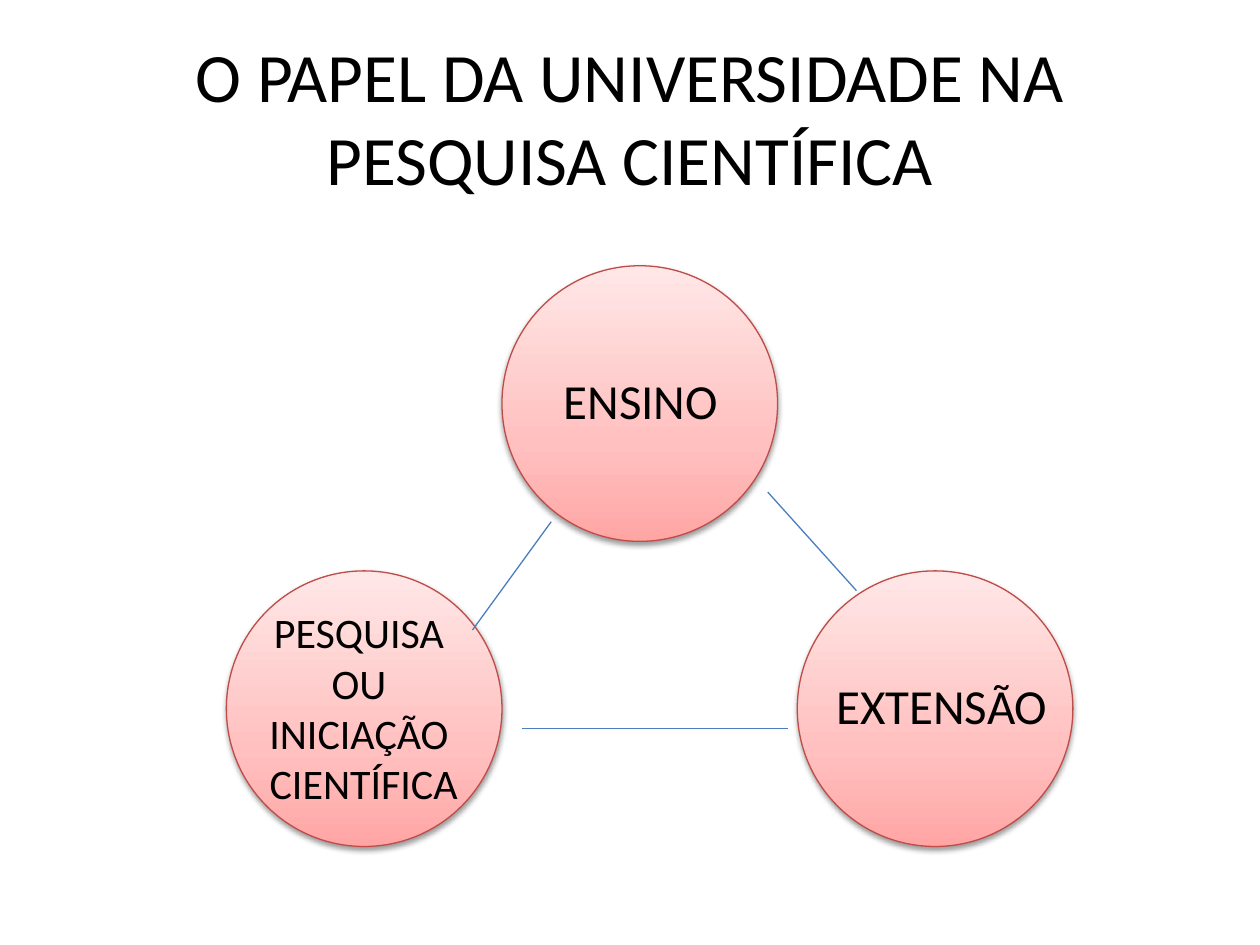
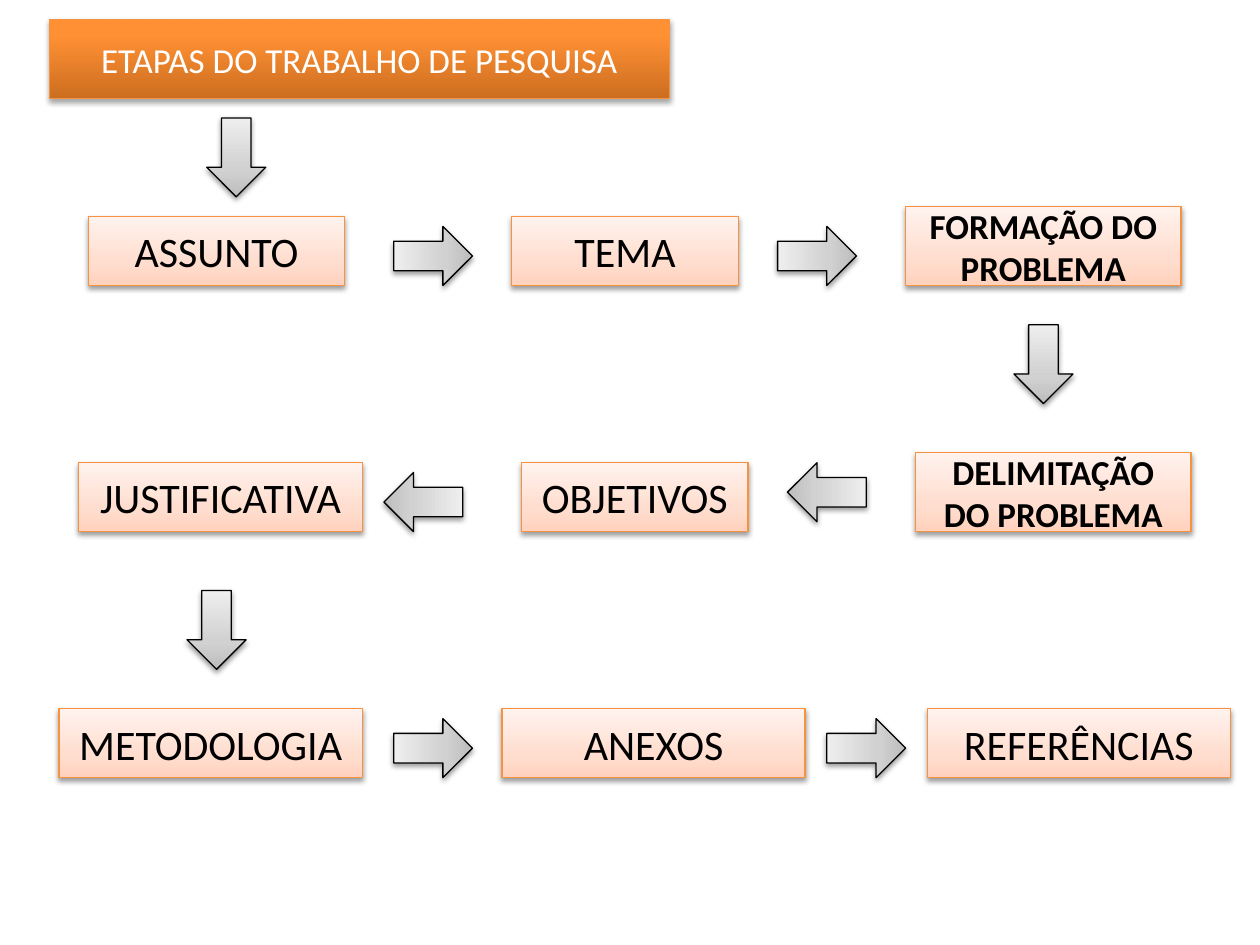
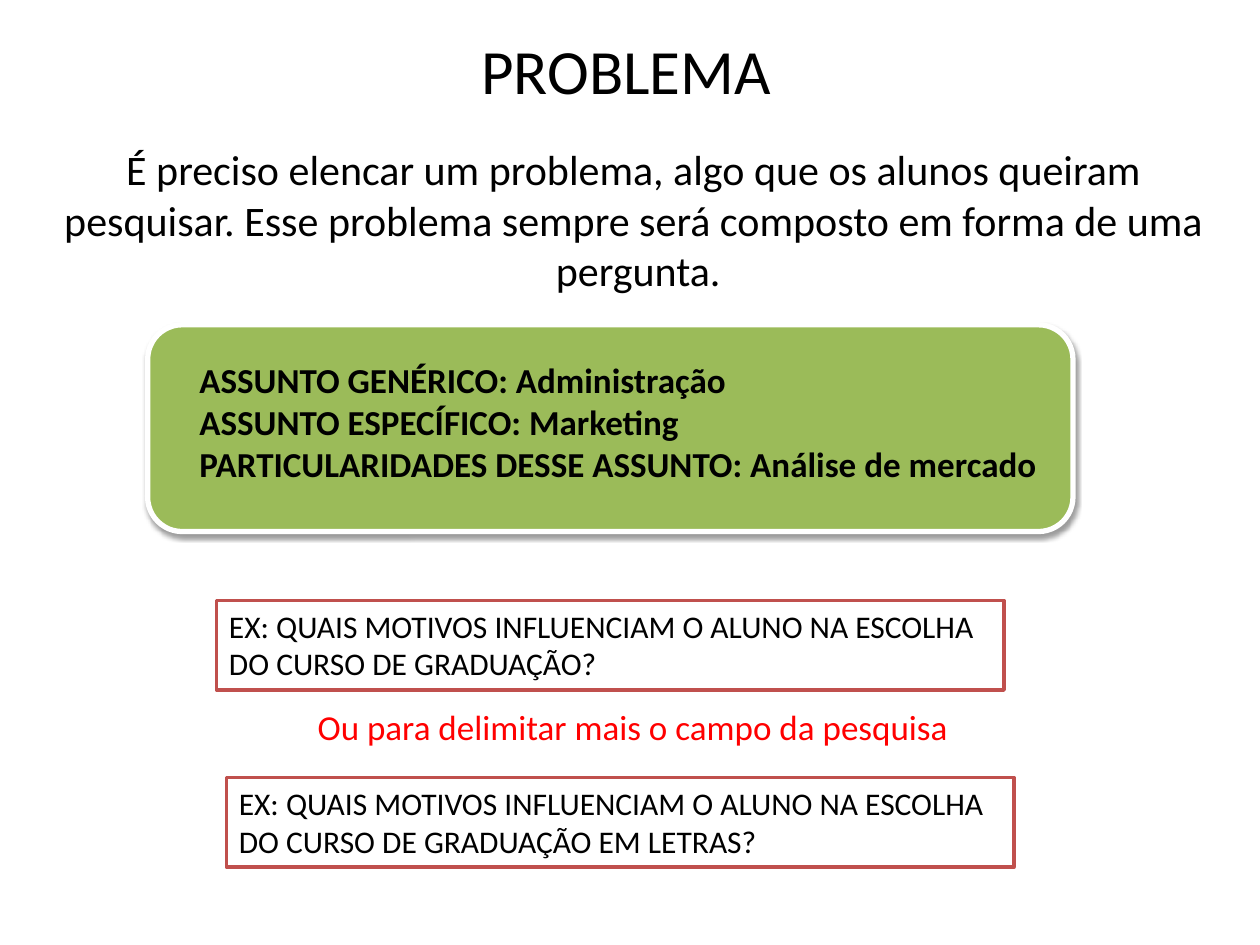
from dataclasses import dataclass

from lxml import etree
from pptx import Presentation
from pptx.dml.color import RGBColor
from pptx.enum.shapes import MSO_CONNECTOR, MSO_SHAPE
from pptx.enum.text import MSO_ANCHOR, MSO_AUTO_SIZE, PP_ALIGN
from pptx.oxml.ns import qn
from pptx.util import Inches, Pt

OVAL, RECTANGLE = MSO_SHAPE.OVAL, MSO_SHAPE.RECTANGLE
ROUNDED, DOWN_ARROW = MSO_SHAPE.ROUNDED_RECTANGLE, MSO_SHAPE.DOWN_ARROW
STRAIGHT = MSO_CONNECTOR.STRAIGHT
LEFT, CENTER = PP_ALIGN.LEFT, PP_ALIGN.CENTER
TOP, MIDDLE = MSO_ANCHOR.TOP, MSO_ANCHOR.MIDDLE
FIXED, GROW = MSO_AUTO_SIZE.NONE, MSO_AUTO_SIZE.SHAPE_TO_FIT_TEXT

WIDTH, HEIGHT, COLUMNS, ROWS = 10, 7.5, 128, 96


@dataclass(frozen=True)
class Theme:
    font: str = "Calibri"
    black: str = "000000"
    white: str = "FFFFFF"
    red: str = "FF0000"
    frame: str = "C0504D"
    green: str = "9BBB59"
    link: str = "4B7EBC"
    rose_line: str = "BF4C48"
    orange_line: str = "F69240"
    rose: tuple = ((0, "FFA6A5"), (35, "FFC0BF"), (100, "FFE7E7"))
    orange: tuple = ((0, "CC6E20"), (80, "FF9034"), (100, "FF9136"))
    peach: tuple = ((0, "FFD2BD"), (35, "FFDED0"), (100, "FFF2ED"))
    gray: tuple = ((0, "BDBDBD"), (35, "D1D1D1"), (100, "EEEEEE"))
    soft_shadow: tuple = (38, 1.6)
    title_shadow: tuple = (35, 1.8)
    thin: float = 0.75
    framed: float = 2
    thick: float = 3
    headline: float = 39.6
    title: float = 36
    large: float = 28
    body: float = 24
    label: float = 20
    example: float = 18


THEME = Theme()


@dataclass(frozen=True)
class Box:
    column: float
    row: float
    columns: float
    rows: float

    def inner(self, column, row, columns, rows):
        return Box(self.column + column, self.row + row, columns, rows)

    def point(self, column, row):
        return (Inches((self.column + column) * WIDTH / COLUMNS),
                Inches((self.row + row) * HEIGHT / ROWS))

    def frame(self):
        return (*self.point(0, 0), Inches(self.columns * WIDTH / COLUMNS),
                Inches(self.rows * HEIGHT / ROWS))


def assign(target, values):
    for name, value in values.items():
        setattr(target, name, value)


def paint(shape, fill, line, weight=THEME.thin, shadow=None):
    if isinstance(fill, str):
        shape.fill.solid()
        shape.fill.fore_color.rgb = RGBColor.from_string(fill)
    else:
        shape.fill.gradient()
        shape.fill.gradient_angle = 90
        stops = shape._element.spPr.find(".//" + qn("a:gsLst"))
        stops.clear()
        for position, color in fill:
            stop = etree.SubElement(stops, qn("a:gs"), pos=str(position * 1000))
            etree.SubElement(stop, qn("a:srgbClr"), val=color)
    shape.line.color.rgb = RGBColor.from_string(line)
    shape.line.width = Pt(weight)
    shape.shadow.inherit = False
    if shadow:
        opacity, distance = shadow
        effects = shape._element.spPr.find(qn("a:effectLst"))
        outer = etree.SubElement(
            effects, qn("a:outerShdw"), blurRad=str(Pt(3.1)),
            dist=str(Pt(distance)), dir="5400000", rotWithShape="0")
        color = etree.SubElement(outer, qn("a:srgbClr"), val=THEME.black)
        etree.SubElement(color, qn("a:alpha"), val=str(opacity * 1000))


def write(shape, lines, size, color=THEME.black, bold=False, alignment=LEFT, **frame_values):
    frame = shape.text_frame
    frame.text = "\n".join(lines)
    assign(frame, {"word_wrap": True, "auto_size": FIXED,
                   "vertical_anchor": TOP, **frame_values})
    for paragraph in frame.paragraphs:
        paragraph.alignment = alignment
        for run in paragraph.runs:
            assign(run.font, {"name": THEME.font, "size": Pt(size), "bold": bold})
            run.font.color.rgb = RGBColor.from_string(color)


def add_title(slide, box, text, size, color=THEME.black):
    title = slide.shapes.title
    assign(title, dict(zip(("left", "top", "width", "height"), box.frame())))
    write(title, [text], size, color, alignment=CENTER, vertical_anchor=MIDDLE)
    return title


def add_text(shapes, box, lines, size, **values):
    text_box = shapes.add_textbox(*box.frame())
    write(text_box, lines, size, **{"auto_size": GROW, **values})


def add_circle(slide, box, lines, size, text_box, alignment):
    group = slide.shapes.add_group_shape()
    circle = group.shapes.add_shape(OVAL, *box.frame())
    paint(circle, THEME.rose, THEME.rose_line, shadow=THEME.soft_shadow)
    add_text(group.shapes, box.inner(*text_box), lines, size,
             alignment=alignment, word_wrap=False)


def add_link(slide, box, start, end):
    link = slide.shapes.add_connector(STRAIGHT, *box.point(*start), *box.point(*end))
    link.line.color.rgb = RGBColor.from_string(THEME.link)
    link.line.width = Pt(THEME.thin)
    etree.SubElement(link._element.spPr, qn("a:effectLst"))


def add_triangle(slide, box):
    diameter = 28
    circles = (
        (28, 0, ["ENSINO"], THEME.large, (5, 10, 18.4, 7.3), LEFT),
        (58, 31, ["EXTENSÃO"], THEME.large, (2.7, 10, 24.2, 7.3), LEFT),
        (0, 31, ["PESQUISA ", "OU ", "INICIAÇÃO ", "CIENTÍFICA"],
         THEME.body, (3, 3, 21.9, 22), CENTER),
    )
    for column, row, *content in circles:
        add_circle(slide, box.inner(column, row, diameter, diameter), *content)
    for start, end in (((55, 23), (64, 33)), ((33, 26), (25, 37)), ((30, 47), (57, 47))):
        add_link(slide, box, start, end)


def add_step(slide, box, text, emphasized):
    if not emphasized:
        box = box.inner(0, 1, box.columns, box.rows - 1)
    step = slide.shapes.add_shape(RECTANGLE, *box.frame())
    paint(step, THEME.peach, THEME.orange_line, shadow=THEME.soft_shadow)
    write(step, [text], THEME.label if emphasized else THEME.body, bold=emphasized,
          alignment=CENTER, vertical_anchor=MIDDLE)


def add_flow(slide, box):
    first_row, row_step, step_rows = 9, 25, 8
    steps = (
        (("ASSUNTO", 3, 26, False), ("TEMA", 46, 23, False),
         ("FORMAÇÃO DO PROBLEMA", 86, 28, True)),
        (("DELIMITAÇÃO DO PROBLEMA", 87, 28, True), ("OBJETIVOS", 47, 23, False),
         ("JUSTIFICATIVA", 2, 28.8, False)),
        (("METODOLOGIA", 0, 30.8, False), ("ANEXOS", 45, 30.8, False),
         ("REFERÊNCIAS", 88.2, 30.8, False)),
    )
    for index, row_steps in enumerate(steps):
        for text, column, columns, emphasized in row_steps:
            place = box.inner(column, first_row + index * row_step, columns, step_rows)
            add_step(slide, place, text, emphasized)
    down, left, right = 0, 90, 270
    arrows = ((15, 0, down), (35, 10, right), (74, 10, right),
              (97, 21, down), (75, 34, left), (34, 35, left),
              (13, 48, down), (35, 60, right), (79, 60, right))
    for column, row, rotation in arrows:
        arrow = slide.shapes.add_shape(DOWN_ARROW, *box.inner(column, row, 6, 8).frame())
        arrow.rotation = rotation
        paint(arrow, THEME.gray, THEME.black, shadow=THEME.soft_shadow)


def add_examples(slide, box):
    shapes = slide.shapes.add_group_shape().shapes
    question = "EX: QUAIS MOTIVOS INFLUENCIAM O ALUNO NA ESCOLHA DO CURSO DE GRADUAÇÃO"
    for column, row, ending in ((0, 0, "? "), (1, 18, " EM LETRAS? ")):
        example = shapes.add_shape(RECTANGLE, *box.inner(column, row, 80, 9.1).frame())
        paint(example, THEME.white, THEME.frame, THEME.framed)
        write(example, [question + ending], THEME.example, auto_size=GROW)
    add_text(shapes, box.inner(9, 10, 67, 5.6),
             ["Ou para delimitar mais o campo da pesquisa"], THEME.label, color=THEME.red)


def add_subject_card(slide, box):
    shapes = slide.shapes.add_group_shape().shapes
    card = shapes.add_shape(ROUNDED, *box.frame())
    paint(card, THEME.green, THEME.white, THEME.thick, THEME.soft_shadow)
    add_text(shapes, box.inner(4, 2.8, 88.3, 14.2),
             ["ASSUNTO GENÉRICO: Administração",
              "ASSUNTO ESPECÍFICO: Marketing",
              "PARTICULARIDADES DESSE ASSUNTO: Análise de mercado"],
             THEME.label, bold=True, word_wrap=False)


def build_university(slide):
    add_title(slide, Box(6.4, 3.85, 115.2, 16),
              "O PAPEL DA UNIVERSIDADE NA PESQUISA CIENTÍFICA", THEME.headline)
    add_triangle(slide, Box(23, 27, 86, 59))


def build_stages(slide):
    title = add_title(slide, Box(5, 2, 63, 8), "ETAPAS DO TRABALHO DE PESQUISA",
                      THEME.label, THEME.white)
    paint(title, THEME.orange, THEME.orange_line, shadow=THEME.title_shadow)
    add_flow(slide, Box(6, 12, 119, 67))


def build_problem(slide):
    add_title(slide, Box(6, -1, 115.2, 16), "PROBLEMA", THEME.title)
    add_text(slide.shapes, Box(5.2, 14, 119.3, 16.8),
             ["É preciso elencar um problema, algo que os alunos queiram ",
              "pesquisar. Esse problema sempre será composto em forma de uma ",
              "pergunta."],
             THEME.body, alignment=CENTER, word_wrap=False)
    add_examples(slide, Box(22, 61, 81, 27.1))
    add_subject_card(slide, Box(15, 33, 94, 21))


presentation = Presentation()
assign(presentation, {"slide_width": Inches(WIDTH), "slide_height": Inches(HEIGHT)})
title_only = presentation.slide_layouts.get_by_name("Title Only")
for build in (build_university, build_stages, build_problem):
    build(presentation.slides.add_slide(title_only))
presentation.save("out.pptx")
